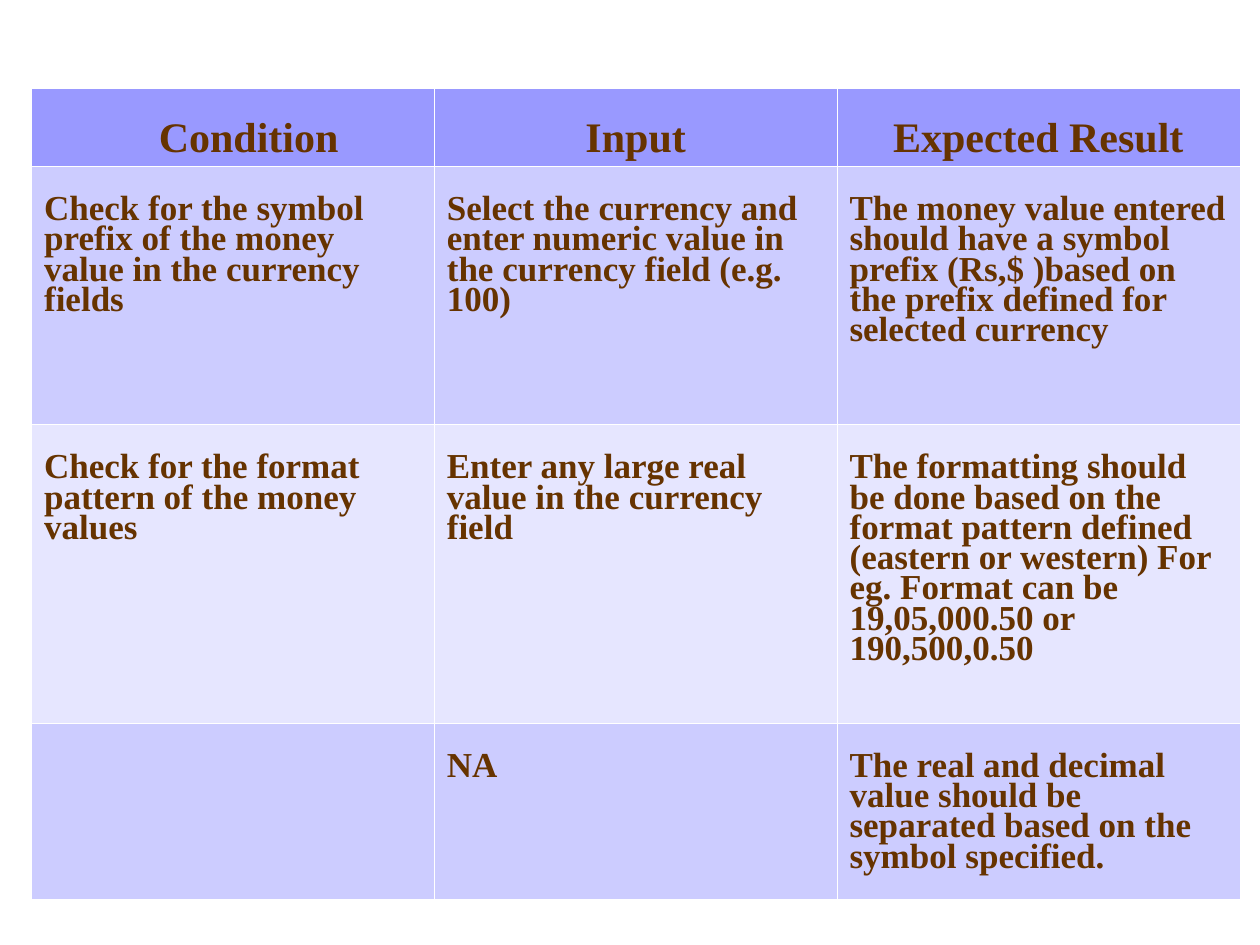
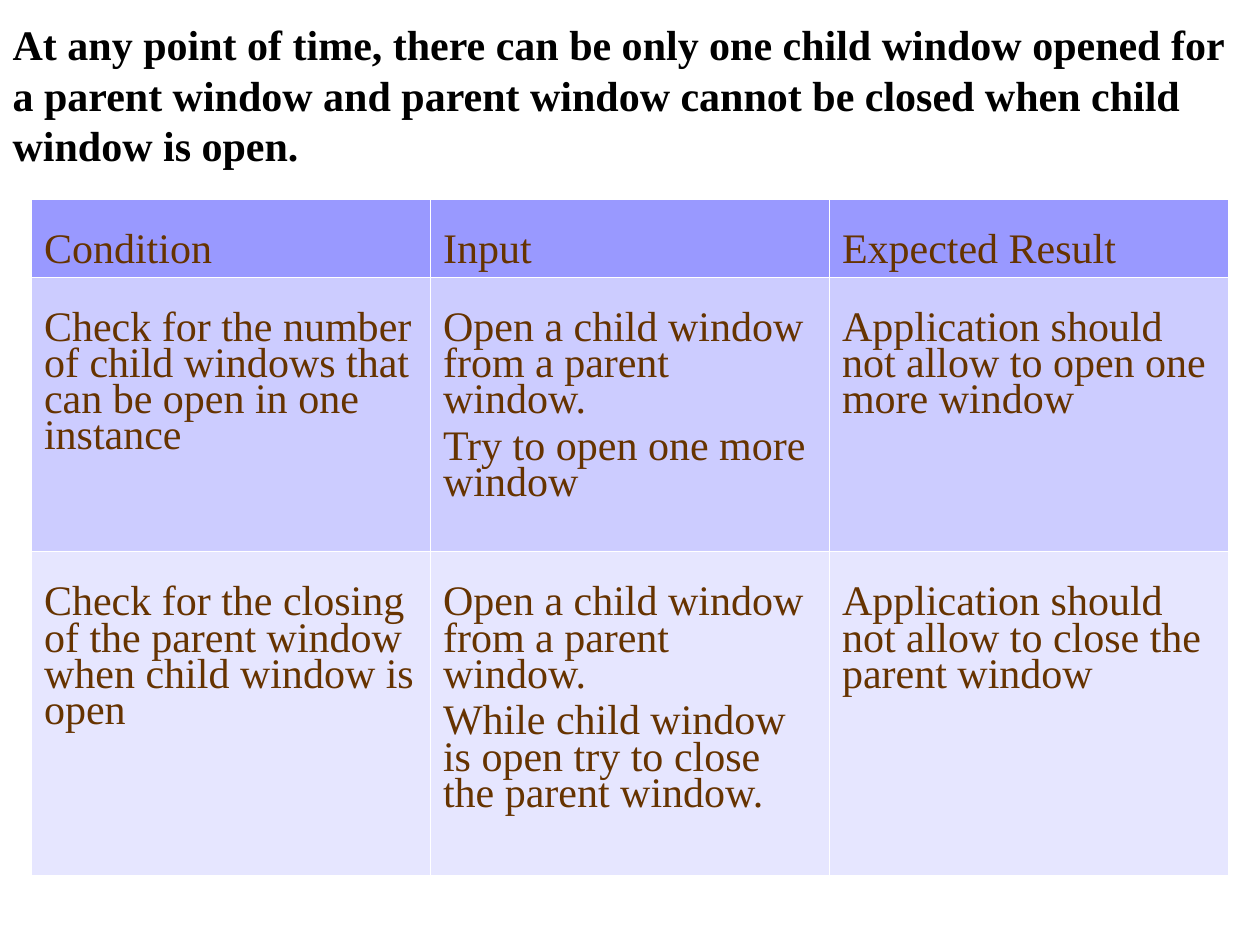
from lxml.etree import SubElement as Sub
from pptx import Presentation
from pptx.dml.color import RGBColor as RGB
from pptx.enum.text import MSO_ANCHOR as Anchor, MSO_AUTO_SIZE as Auto, PP_ALIGN as Align
from pptx.oxml.ns import qn
from pptx.util import Inches, Pt

HUES = {"head": "9999FF", "odd": "CCCCFF", "even": "E6E6FF",
        "rule": "FFFFFF", "text": "663300", "title": "000000"}
FACE = "Times New Roman"
LEFT = 0.25
HEADS = ["Condition", "Input", "Expected Result"]

MONEY = [
    ["Check for the symbol prefix of the money value in the currency fields",
     "Select the currency and enter numeric value in the currency field (e.g. 100)",
     "The money value entered should have a symbol prefix (Rs,$ )based on "
     "the prefix defined for selected currency"],
    ["Check for the format pattern of the money values",
     "Enter any large real value in the currency field",
     "The formatting should be done based on the format pattern defined "
     "(eastern or western) For eg. Format can be 19,05,000.50 or 190,500,0.50"],
    ["", "NA",
     "The real and decimal value should be separated based on the symbol specified."],
]

TITLE = ("At any point of time, there can be only one child window opened for a parent "
         "window and parent window cannot be closed when child window is open.")
WINDOWS = [
    ["Check for the number of child windows that can be open in one instance",
     "Open a child window from a parent window.\nTry to open one more window",
     "Application should not allow to open one more window"],
    ["Check for the closing of the parent window when child window is open",
     "Open a child window from a parent window.\n"
     "While child window is open try to close the parent window.",
     "Application should not allow to close the parent window"],
]


def set_font(par, size, bold, hue):
    font = par.font
    font.name, font.size, font.bold = FACE, Pt(size), bold
    font.color.rgb = RGB.from_string(HUES[hue])


def add_rules(cell):
    props = cell._tc.get_or_add_tcPr()
    for place, side in enumerate(("lnL", "lnR", "lnT", "lnB")):
        line = props.makeelement(qn("a:" + side), {"w": str(Pt(0.06))})
        fill = Sub(line, qn("a:solidFill"))
        Sub(fill, qn("a:srgbClr"), val=HUES["rule"])
        props.insert(place, line)


def fill_cell(cell, text, hue, size, bold, align):
    cell.fill.solid()
    cell.fill.fore_color.rgb = RGB.from_string(HUES[hue])
    cell.margin_left = cell.margin_right = Inches(0.1)
    cell.margin_top = Inches(0.28 if size == 24 else 0.24)
    cell.margin_bottom = Inches(0.05)
    cell.text = text
    for par in cell.text_frame.paragraphs:
        par.alignment = align
        par.line_spacing = 0.78
        par.space_before = Pt(size // 4)
        set_font(par, size, bold, "text")
    add_rules(cell)


def add_grid(slide, top, width, highs, body, size, bold, align):
    rows = [HEADS] + body
    grid = slide.shapes.add_table(len(rows), len(HEADS), Inches(LEFT), Inches(top),
                                  Inches(width), Inches(sum(highs))).table
    for row, high in zip(grid.rows, highs):
        row.height = Inches(high)
    for r, row in enumerate(rows):
        hue = "head" if r == 0 else "odd" if r % 2 else "even"
        for c, text in enumerate(row):
            fill_cell(grid.cell(r, c), text, hue, size if r else 24, bold,
                      Align.LEFT if r else align)
    return grid


def add_title(slide, text):
    title = slide.shapes.title
    title.left, title.top = Inches(0), Inches(0)
    title.width, title.height = Inches(10), Inches(1.5)
    frame = title.text_frame
    frame.text = text
    frame.word_wrap = True
    frame.auto_size = Auto.NONE
    frame.vertical_anchor = Anchor.MIDDLE
    par = frame.paragraphs[0]
    par.alignment = Align.LEFT
    set_font(par, 24, True, "title")


def main():
    deck = Presentation()
    deck.slide_width, deck.slide_height = Inches(10), Inches(7.5)

    money = deck.slides.add_slide(deck.slide_layouts[6])
    grid = add_grid(money, 0.7, 9.59, [0.59, 2.05, 2.37, 1.4], MONEY, 20, True, Align.CENTER)
    grid.cell(0, 0).margin_left = Inches(0.35)

    window = deck.slides.add_slide(deck.slide_layouts[5])
    add_title(window, TITLE)
    add_grid(window, 1.58, 9.5, [0.59, 2.18, 2.57], WINDOWS, 24, False, Align.LEFT)

    deck.save("out.pptx")


if __name__ == "__main__":
    main()
